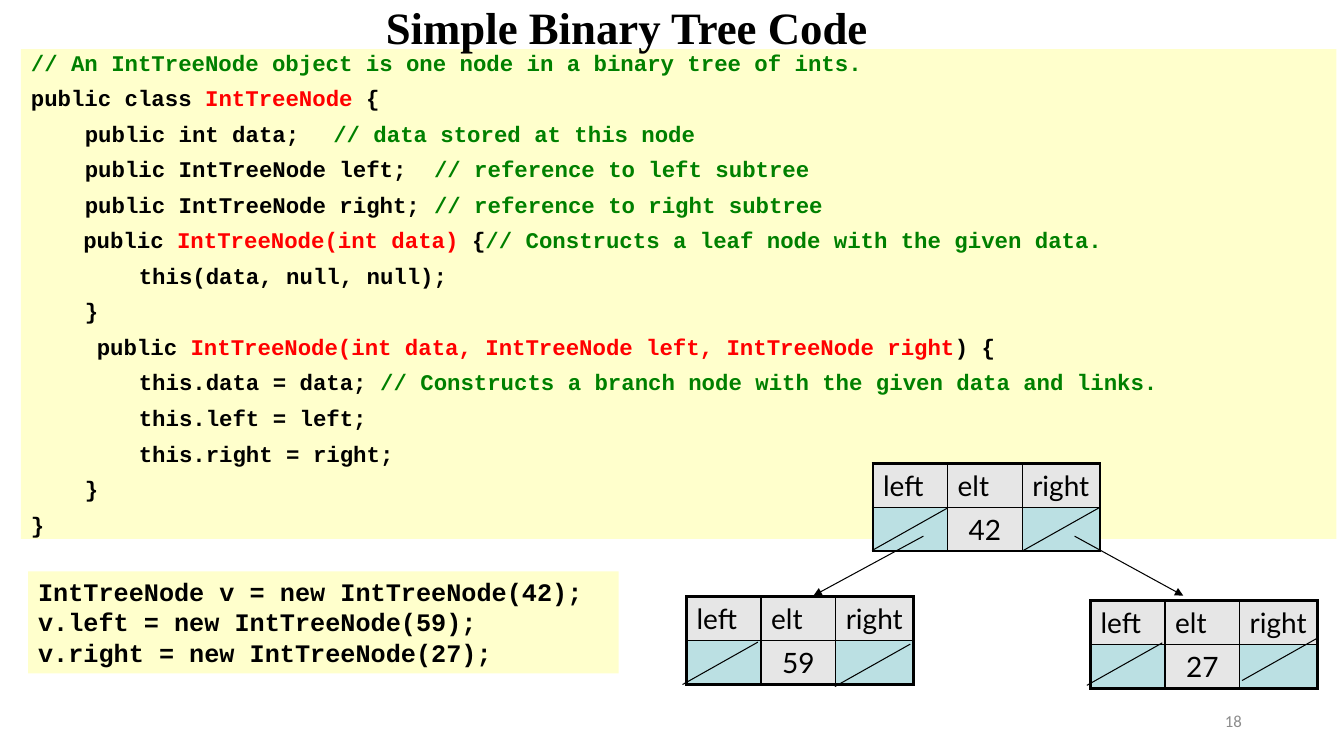
from lxml.etree import SubElement
from pptx import Presentation
from pptx.dml.color import RGBColor
from pptx.enum.shapes import MSO_CONNECTOR, MSO_SHAPE
from pptx.enum.text import MSO_ANCHOR, PP_ALIGN
from pptx.oxml.ns import qn
from pptx.util import Cm, Pt

BLACK = RGBColor(0x00, 0x00, 0x00)
GREEN = RGBColor(0x00, 0x80, 0x00)
RED = RGBColor(0xFF, 0x00, 0x00)
GRAY = RGBColor(0x8C, 0x8C, 0x8C)
CREAM = RGBColor(0xFF, 0xFF, 0xCC)
SILVER = RGBColor(0xE6, 0xE6, 0xE6)
TEAL = RGBColor(0xBB, 0xE0, 0xE3)

COMMENT_COLUMN = 10.82
FIELD_INDENT = 1.36
BODY_INDENT = 2.72

CLASS_CODE = [
    (0, [("// An IntTreeNode object is one node in a binary tree of ints.", GREEN)]),
    (0, [("public class ", BLACK), ("IntTreeNode", RED), (" {", BLACK)]),
    (FIELD_INDENT, [("public int data;\t", BLACK), ("// data stored at this node", GREEN)]),
    (FIELD_INDENT, [("public IntTreeNode left;\t", BLACK), ("// reference to left subtree", GREEN)]),
    (FIELD_INDENT, [("public IntTreeNode right;\t", BLACK), ("// reference to right subtree", GREEN)]),
    (1.32, [("public ", BLACK), ("IntTreeNode(int data) ", RED), ("{", BLACK),
            ("// Constructs a leaf node with the given data.", GREEN)]),
    (BODY_INDENT, [("this(data, null, null);", BLACK)]),
    (FIELD_INDENT, [("}", BLACK)]),
    (1.66, [("public ", BLACK),
            ("IntTreeNode(int data, IntTreeNode left, IntTreeNode right", RED), (") {", BLACK)]),
    (BODY_INDENT, [("this.data = data; ", BLACK),
                   ("// Constructs a branch node with the given data and links.", GREEN)]),
    (BODY_INDENT, [("this.left = left;", BLACK)]),
    (BODY_INDENT, [("this.right = right;", BLACK)]),
    (FIELD_INDENT, [("}", BLACK)]),
    (0, [("}", BLACK)]),
]
USAGE_CODE = [
    "IntTreeNode v = new IntTreeNode(42);",
    "v.left = new IntTreeNode(59);",
    "v.right = new IntTreeNode(27);",
]
NODES = [(22, 11.68, "42"), (17.3, 15.04, "59"), (27.48, 15.14, "27")]
NODE_COLUMNS = [1.88, 1.88, 1.96]
NODE_ROW = 1.1
SLASH_STARTS = [(23.88, 12.8), (27.69, 12.8), (19.1, 16.18),
                (22.94, 16.23), (29.29, 16.2), (33.2, 16.08)]
LINKS = [((23.27, 13.51), (20.5, 15.01)), ((27.08, 13.51), (29.82, 15.01))]


def add_span(para, text, font, size, colour=BLACK, bold=False):
    """Append one formatted run to a paragraph."""
    span = para.add_run()
    span.text = text
    span.font.name = font
    span.font.size = Pt(size)
    span.font.bold = bold
    span.font.color.rgb = colour


def next_para(frame, index):
    """Return the first paragraph of a frame, or a new one after it."""
    return frame.add_paragraph() if index else frame.paragraphs[0]


def add_code_panel(page, left, top, width, height):
    """Add a cream rectangle for code and return its text frame."""
    panel = page.shapes.add_shape(
        MSO_SHAPE.RECTANGLE, Cm(left), Cm(top), Cm(width), Cm(height))
    panel.shadow.inherit = False
    panel.fill.solid()
    panel.fill.fore_color.rgb = CREAM
    panel.line.fill.background()
    frame = panel.text_frame
    frame.word_wrap = True
    frame.vertical_anchor = MSO_ANCHOR.TOP
    return frame


def add_class_code(page):
    """Add the class listing with indents and a tab stop for comments."""
    frame = add_code_panel(page, 0.53, 1.24, 33.15, 12.34)
    for index, (indent, spans) in enumerate(CLASS_CODE):
        para = next_para(frame, index)
        para.alignment = PP_ALIGN.LEFT
        para.line_spacing = 0.8
        para.space_before = Pt(10)
        properties = para._p.get_or_add_pPr()
        properties.set("marL", "0")
        properties.set("indent", str(Cm(indent)))
        tabs = SubElement(properties, qn("a:tabLst"))
        SubElement(tabs, qn("a:tab"), pos=str(Cm(COMMENT_COLUMN)), algn="l")
        for text, colour in spans:
            add_span(para, text, "Courier New", 16, colour, True)


def add_usage_code(page):
    """Add the listing that builds the sample tree."""
    frame = add_code_panel(page, 0.71, 14.4, 14.88, 2.57)
    for index, text in enumerate(USAGE_CODE):
        para = next_para(frame, index)
        para.alignment = PP_ALIGN.LEFT
        add_span(para, text, "Courier New", 18, BLACK, True)


def add_label(page, place, text, font, size, colour, bold, align, anchor):
    """Add a single-line text box."""
    box = page.shapes.add_textbox(*(Cm(length) for length in place))
    frame = box.text_frame
    frame.word_wrap = True
    frame.vertical_anchor = anchor
    para = frame.paragraphs[0]
    para.alignment = align
    add_span(para, text, font, size, colour, bold)


def set_borders(cell, row, column):
    """Draw thick outer and thin inner borders on a node cell."""
    outer_sides = {"a:lnL": column == 0, "a:lnR": column == 2,
                   "a:lnT": row == 0, "a:lnB": row == 1}
    properties = cell._tc.get_or_add_tcPr()
    for position, (side, outer) in enumerate(outer_sides.items()):
        border = SubElement(properties, qn(side), w=str(Pt(2.25 if outer else 1)))
        fill = SubElement(border, qn("a:solidFill"))
        SubElement(fill, qn("a:srgbClr"), val=str(BLACK))
        properties.insert(position, border)


def add_node(page, left, top, value):
    """Add a tree node as a table of field names over their values."""
    table = page.shapes.add_table(
        2, 3, Cm(left), Cm(top), Cm(sum(NODE_COLUMNS)), Cm(2 * NODE_ROW)).table
    table.first_row = False
    table.horz_banding = False
    for column, width in zip(table.columns, NODE_COLUMNS):
        column.width = Cm(width)
    for row, texts in enumerate([("left", "elt", "right"), ("", value, "")]):
        table.rows[row].height = Cm(NODE_ROW)
        for column, text in enumerate(texts):
            cell = table.cell(row, column)
            cell.fill.solid()
            cell.fill.fore_color.rgb = SILVER if text else TEAL
            set_borders(cell, row, column)
            if text:
                para = cell.text_frame.paragraphs[0]
                para.alignment = PP_ALIGN.CENTER if row else PP_ALIGN.LEFT
                add_span(para, text, "Lato", 20)


def add_line(page, start, end, arrow=False):
    """Add a thin black line, with an arrowhead at its end if asked."""
    line = page.shapes.add_connector(
        MSO_CONNECTOR.STRAIGHT, *(Cm(length) for length in (*start, *end)))
    line.line.color.rgb = BLACK
    line.line.width = Pt(0.75)
    if arrow:
        SubElement(line.line._get_or_add_ln(), qn("a:tailEnd"), type="triangle")
    SubElement(line._element.spPr, qn("a:effectLst"))


def main():
    """Build the slide and save it."""
    deck = Presentation()
    deck.slide_width = Cm(33.87)
    deck.slide_height = Cm(19.05)
    page = deck.slides.add_slide(deck.slide_layouts[6])
    add_class_code(page)
    add_label(page, (3.05, 0, 25.78, 1.47), "Simple Binary Tree Code ",
              "Times New Roman", 32, BLACK, True, PP_ALIGN.CENTER, MSO_ANCHOR.BOTTOM)
    add_usage_code(page)
    for left, top, value in NODES:
        add_node(page, left, top, value)
    for left, top in SLASH_STARTS:
        add_line(page, (left, top), (left - 1.9, top + 1.07))
    for start, end in LINKS:
        add_line(page, start, end, arrow=True)
    add_label(page, (23.93, 17.65, 7.62, 1.02), "18",
              "Calibri", 12, GRAY, False, PP_ALIGN.RIGHT, MSO_ANCHOR.MIDDLE)
    deck.save("out.pptx")


if __name__ == "__main__":
    main()
